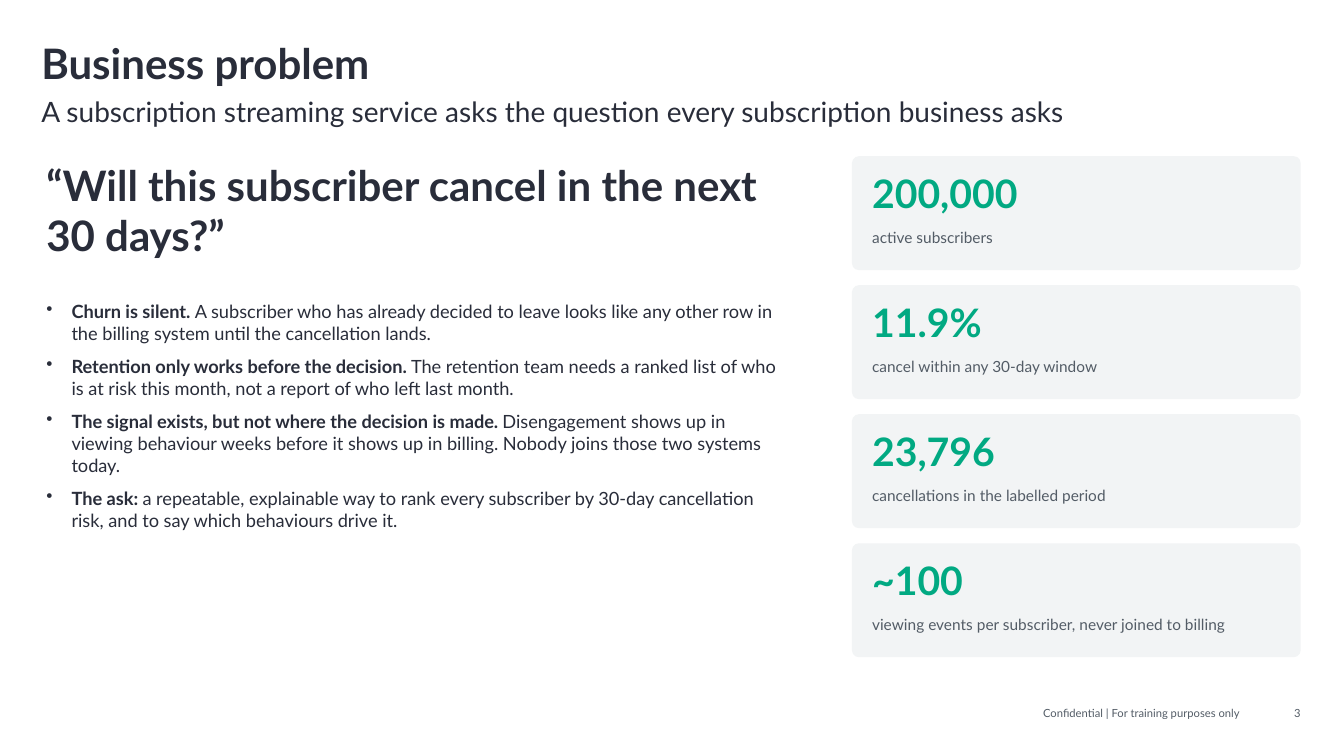
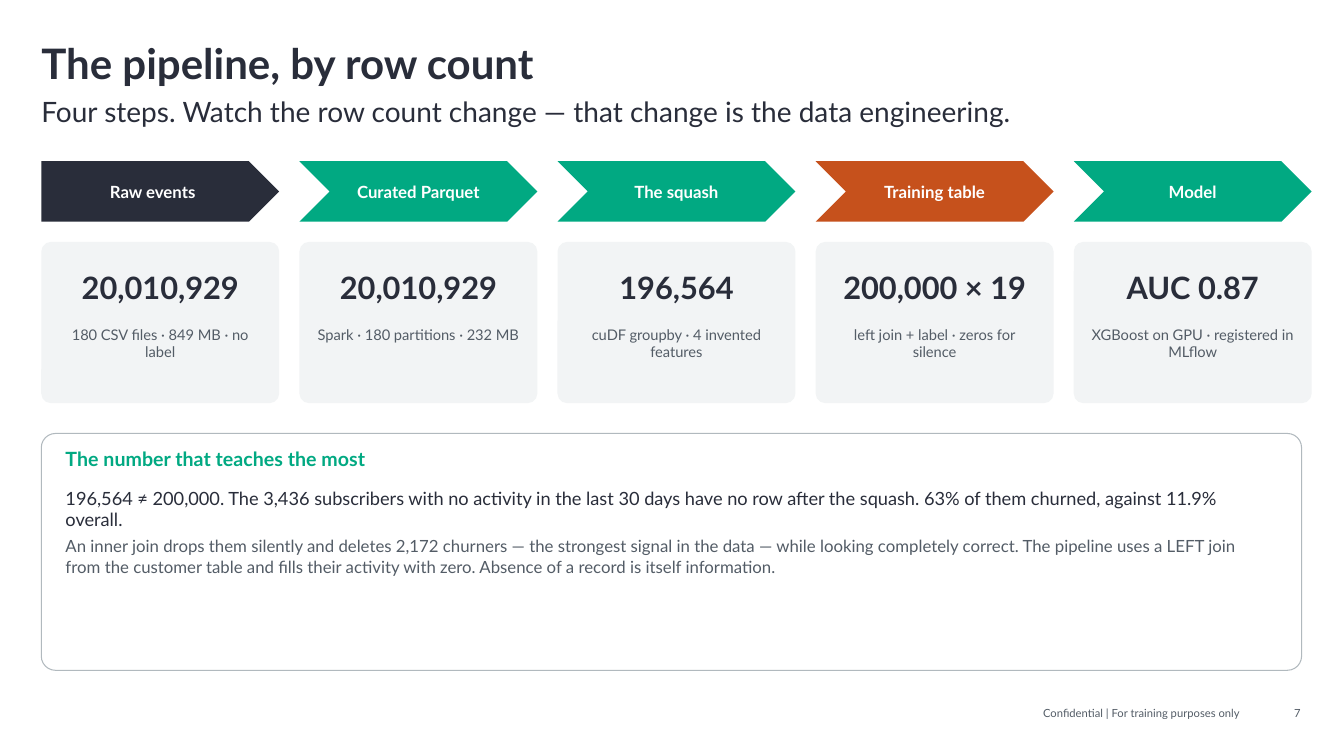
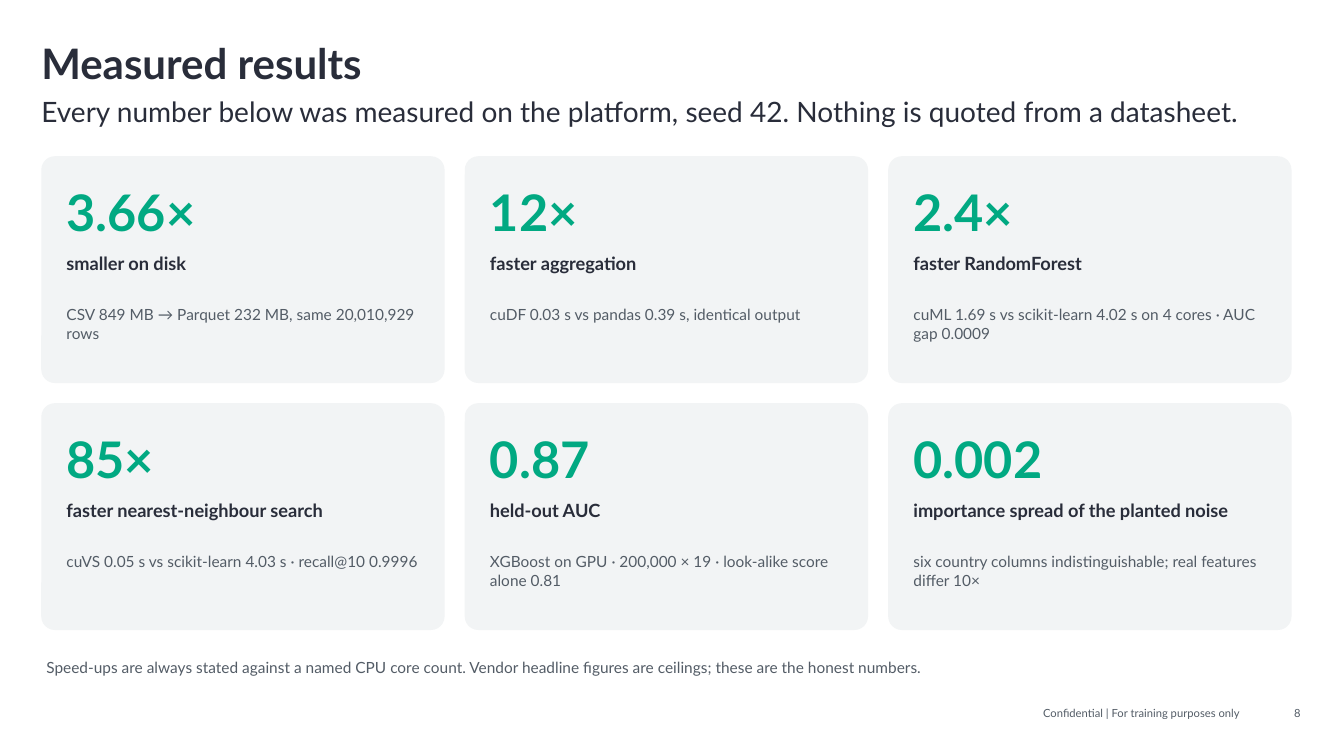
"""Builds three slides on predicting subscriber churn."""
from lxml import etree
from pptx import Presentation
from pptx import util as u
from pptx.dml import color
from pptx.enum import shapes, text
from pptx.oxml import ns

COLOURS = {
    "ink": "292D3A",
    "grey": "535C66",
    "green": "01A982",
    "orange": "C6511C",
    "panel": "F2F4F5",
    "border": "B1B9BE",
    "white": "FFFFFF",
}
FONT = "Lato"
LEFT = 0.41
WIDTH = 12.5
TEXT_INSETS = (0.05, 0.03, 0.05, 0.03)
LEFT_ALIGN, CENTRE, RIGHT = text.PP_ALIGN.LEFT, text.PP_ALIGN.CENTER, text.PP_ALIGN.RIGHT
TOP, MIDDLE = text.MSO_ANCHOR.TOP, text.MSO_ANCHOR.MIDDLE
SHAPE = shapes.MSO_SHAPE


def rgb(name):
    return color.RGBColor.from_string(COLOURS[name])


class Deck:
    def __init__(self):
        self.presentation = Presentation()
        self.presentation.slide_width = u.Inches(13.33)
        self.presentation.slide_height = u.Inches(7.5)
        self.slide = None

    def new_slide(self, title, subtitle, number):
        self.slide = self.presentation.slides.add_slide(self.presentation.slide_layouts[6])
        heading = self.label(title, (LEFT, 0.43, WIDTH, 0.45), 30, bold=True, insets=(0, 0, 0.1, 0))
        heading.line_spacing = 0.9
        self.label(subtitle, (LEFT, 0.93, WIDTH, 0.4), 20, anchor=MIDDLE, insets=(0, 0, 0.1, 0.05))
        self.label("Confidential | For training purposes only", (5.55, 6.98, 6.8, 0.25), 8, "grey", align=RIGHT)
        self.label(str(number), (12.45, 6.98, 0.5, 0.25), 8, "grey", align=RIGHT)

    def frame(self, box, anchor=TOP, insets=TEXT_INSETS):
        frame = self.slide.shapes.add_textbox(*map(u.Inches, box)).text_frame
        frame.word_wrap = True
        frame.vertical_anchor = anchor
        frame.margin_left, frame.margin_top, frame.margin_right, frame.margin_bottom = map(u.Inches, insets)
        return frame

    def style(self, paragraph, size, colour="ink", bold=False, align=LEFT_ALIGN):
        paragraph.alignment = align
        for run in paragraph.runs:
            run.font.name = FONT
            run.font.size = u.Pt(size)
            run.font.bold = bold
            run.font.color.rgb = rgb(colour)

    def label(self, words, box, size, colour="ink", bold=False, align=LEFT_ALIGN, anchor=TOP, insets=TEXT_INSETS):
        frame = self.frame(box, anchor, insets)
        frame.text = words
        self.style(frame.paragraphs[0], size, colour, bold, align)
        return frame.paragraphs[0]

    def paragraphs(self, items, box):
        frame = self.frame(box)
        for index, (words, size, colour) in enumerate(items):
            paragraph = frame.add_paragraph() if index else frame.paragraphs[0]
            paragraph.text = words
            paragraph.space_after = u.Pt(4)
            self.style(paragraph, size, colour)

    def bullets(self, items, box, size):
        frame = self.frame(box)
        for index, (lead, words) in enumerate(items):
            paragraph = frame.add_paragraph() if index else frame.paragraphs[0]
            properties = paragraph._p.get_or_add_pPr()
            properties.set("marL", str(u.Inches(0.25)))
            properties.set("indent", str(-u.Inches(0.25)))
            etree.SubElement(properties, ns.qn("a:buChar")).set("char", "•")
            paragraph.space_after = u.Pt(8)
            for part in (lead + " ", words):
                paragraph.add_run().text = part
            self.style(paragraph, size)
            paragraph.runs[0].font.bold = True

    def shape(self, kind, box, fill, line=None):
        shape = self.slide.shapes.add_shape(kind, *map(u.Inches, box))
        shape.shadow.inherit = False
        shape.fill.solid()
        shape.fill.fore_color.rgb = rgb(fill)
        if line:
            shape.line.color.rgb = rgb(line)
            shape.line.width = u.Pt(0.75)
        else:
            shape.line.fill.background()
        return shape

    def panel(self, box, fill="panel", line=None):
        self.shape(SHAPE.ROUNDED_RECTANGLE, box, fill, line).adjustments[0] = 0.06

    def step(self, kind, words, box, fill):
        frame = self.shape(kind, box, fill).text_frame
        frame.word_wrap = True
        frame.vertical_anchor = MIDDLE
        frame.text = words
        self.style(frame.paragraphs[0], 12, "white", True, CENTRE)


def business_problem(deck):
    deck.new_slide("Business problem",
                   "A subscription streaming service asks the question every subscription business asks", 3)
    deck.label("“Will this subscriber cancel in the next 30 days?”", (LEFT, 1.55, 7.6, 1.3), 30, bold=True)
    deck.bullets([
        ("Churn is silent.", "A subscriber who has already decided to leave looks like any other row in "
         "the billing system until the cancellation lands."),
        ("Retention only works before the decision.", "The retention team needs a ranked list of who "
         "is at risk this month, not a report of who left last month."),
        ("The signal exists, but not where the decision is made.", "Disengagement shows up in viewing "
         "behaviour weeks before it shows up in billing. Nobody joins those two systems today."),
        ("The ask:", "a repeatable, explainable way to rank every subscriber by 30-day cancellation "
         "risk, and to say which behaviours drive it."),
    ], (LEFT, 2.95, 7.4, 3.6), 13)
    facts = [
        ("200,000", "active subscribers"),
        ("11.9%", "cancel within any 30-day window"),
        ("23,796", "cancellations in the labelled period"),
        ("~100", "viewing events per subscriber, never joined to billing"),
    ]
    for row, (figure, caption) in enumerate(facts):
        top = 1.55 + 1.28 * row
        deck.panel((8.45, top, 4.45, 1.13))
        deck.label(figure, (8.6, top + 0.1, 4.2, 0.6), 28, "green", True)
        deck.label(caption, (8.6, top + 0.68, 4.2, 0.42), 11, "grey")


def pipeline(deck):
    deck.new_slide("The pipeline, by row count",
                   "Four steps. Watch the row count change — that change is the data engineering.", 7)
    steps = [
        ("Raw events", "ink", "20,010,929", "180 CSV files · 849 MB · no label"),
        ("Curated Parquet", "green", "20,010,929", "Spark · 180 partitions · 232 MB"),
        ("The squash", "green", "196,564", "cuDF groupby · 4 invented features"),
        ("Training table", "orange", "200,000 × 19", "left join + label · zeros for silence"),
        ("Model", "green", "AUC 0.87", "XGBoost on GPU · registered in MLflow"),
    ]
    width, gap = 2.36, 0.2
    for column, (name, fill, figure, detail) in enumerate(steps):
        left = LEFT + column * (width + gap)
        kind = SHAPE.CHEVRON if column else SHAPE.PENTAGON
        deck.step(kind, name, (left, 1.6, width, 0.6), fill)
        deck.panel((left, 2.4, width, 1.6))
        deck.label(figure, (left + 0.1, 2.5, width - 0.2, 0.7), 22, bold=True, align=CENTRE, anchor=MIDDLE)
        deck.label(detail, (left + 0.1, 3.2, width - 0.2, 0.75), 10.5, "grey", align=CENTRE)
    deck.panel((LEFT, 4.3, WIDTH, 2.35), "white", "border")
    deck.label("The number that teaches the most", (0.6, 4.4, 6, 0.4), 14, "green", True)
    deck.paragraphs([
        ("196,564 ≠ 200,000. The 3,436 subscribers with no activity in the last 30 days have no row after "
         "the squash. 63% of them churned, against 11.9% overall.", 13, "ink"),
        ("An inner join drops them silently and deletes 2,172 churners — the strongest signal in the data — "
         "while looking completely correct. The pipeline uses a LEFT join from the customer table and fills "
         "their activity with zero. Absence of a record is itself information.", 12, "grey"),
    ], (0.6, 4.8, 12.1, 1.8))


def measured_results(deck):
    deck.new_slide("Measured results",
                   "Every number below was measured on the platform, seed 42. "
                   "Nothing is quoted from a datasheet.", 8)
    results = [
        ("3.66×", "smaller on disk", "CSV 849 MB → Parquet 232 MB, same 20,010,929 rows"),
        ("12×", "faster aggregation", "cuDF 0.03 s vs pandas 0.39 s, identical output"),
        ("2.4×", "faster RandomForest", "cuML 1.69 s vs scikit-learn 4.02 s on 4 cores · AUC gap 0.0009"),
        ("85×", "faster nearest-neighbour search", "cuVS 0.05 s vs scikit-learn 4.03 s · recall@10 0.9996"),
        ("0.87", "held-out AUC", "XGBoost on GPU · 200,000 × 19 · look-alike score alone 0.81"),
        ("0.002", "importance spread of the planted noise",
         "six country columns indistinguishable; real features differ 10×"),
    ]
    width, height, gap = 4, 2.25, 0.2
    for index, (figure, name, detail) in enumerate(results):
        row, column = divmod(index, 3)
        left = LEFT + column * (width + gap)
        top = 1.55 + row * (height + gap)
        deck.panel((left, top, width, height))
        inner_left, inner_width = left + 0.2, width - 0.4
        deck.label(figure, (inner_left, top + 0.15, inner_width, 0.8), 36, "green", True, anchor=MIDDLE)
        deck.label(name, (inner_left, top + 0.92, inner_width, 0.55), 13, bold=True)
        deck.label(detail, (inner_left, top + 1.45, inner_width, 0.75), 11, "grey")
    deck.label("Speed-ups are always stated against a named CPU core count. Vendor headline figures are "
               "ceilings; these are the honest numbers.", (LEFT, 6.5, WIDTH, 0.4), 11, "grey")


def main():
    deck = Deck()
    business_problem(deck)
    pipeline(deck)
    measured_results(deck)
    deck.presentation.save("out.pptx")


if __name__ == "__main__":
    main()
